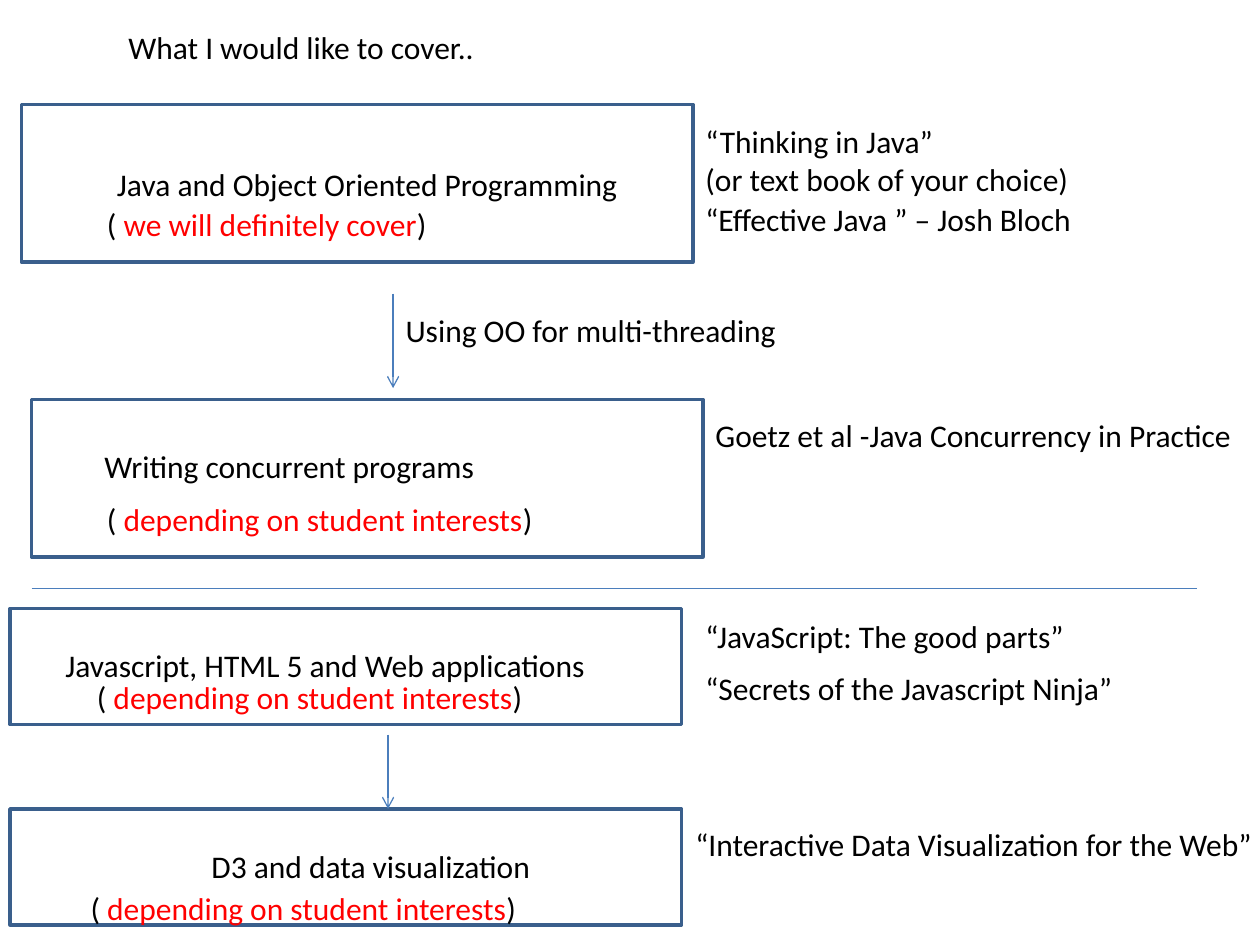
"""Build a slide of course topics, each with its reading list."""
from lxml.etree import SubElement
from pptx import Presentation
from pptx.dml.color import RGBColor
from pptx.enum.shapes import MSO_CONNECTOR, MSO_SHAPE
from pptx.enum.text import MSO_AUTO_SIZE
from pptx.oxml.ns import qn
from pptx.util import Inches, Pt

BLACK = RGBColor(0x00, 0x00, 0x00)
RED = RGBColor(0xFF, 0x00, 0x00)
EDGE = RGBColor(0x3A, 0x5F, 0x8C)
BLUE = RGBColor(0x4B, 0x7E, 0xBC)

FONT = {"name": "Calibri", "size": Pt(18)}
FRAME = {"word_wrap": False, "auto_size": MSO_AUTO_SIZE.SHAPE_TO_FIT_TEXT}
LINE = 0.4
WIDE = 5.33
COVER = "we will definitely cover"
MAYBE = "depending on student interests"

BOXES = [(0.17, 0.83, 1.25), (0.25, 3.17, 1.25), (0.08, 4.83, 0.92), (0.08, 6.42, 0.92)]
TEXTS = [
    (0.92, 0.17, 2.98, ["What I would like to cover.."]),
    (0.83, 1.26, 4.22, ["Java and Object Oriented Programming"]),
    (5.5, 0.92, 3.12, ["“Thinking in Java”", "(or text book of your choice)"]),
    (5.5, 1.54, 3.2, ["“Effective Java ” – Josh Bloch"]),
    (3.12, 2.42, 3.18, ["Using OO for multi-threading"]),
    (5.58, 3.25, 4.34, ["Goetz et al -Java Concurrency in Practice"]),
    (0.73, 3.5, 3.17, ["Writing concurrent programs"]),
    (0.42, 5.08, 4.38, ["Javascript, HTML 5 and Web applications"]),
    (5.5, 4.85, 3.08, ["“JavaScript: The good parts”"]),
    (5.5, 5.26, 3.46, ["“Secrets of the Javascript Ninja”"]),
    (1.58, 6.67, 2.76, ["D3 and data visualization"]),
    (5.42, 6.5, 4.67, ["“Interactive Data Visualization for the Web”"]),
]
NOTES = [
    (0.75, 1.58, 2.83, COVER),
    (0.75, 3.92, 3.68, MAYBE),
    (0.67, 5.33, 3.68, MAYBE),
    (0.62, 7.01, 3.68, MAYBE),
]


def style(item, values):
    """Set each named value on the item."""
    for name, value in values.items():
        setattr(item, name, value)


def add_box(slide, left, top, high):
    """Draw an outlined topic box."""
    box = slide.shapes.add_shape(
        MSO_SHAPE.RECTANGLE, Inches(left), Inches(top), Inches(WIDE), Inches(high))
    box.shadow.inherit = False
    box.fill.background()
    box.line.color.rgb = EDGE
    box.line.width = Pt(2)


def add_text(slide, left, top, width, rows):
    """Place rows of text, each row a list of (words, colour) runs."""
    high = LINE + 0.31 * (len(rows) - 1)
    box = slide.shapes.add_textbox(Inches(left), Inches(top), Inches(width), Inches(high))
    frame = box.text_frame
    style(frame, FRAME)
    for i, row in enumerate(rows):
        para = frame.add_paragraph() if i else frame.paragraphs[0]
        for words, color in row:
            run = para.add_run()
            run.text = words
            style(run.font, FONT)
            run.font.color.rgb = color


def add_note(slide, left, top, width, words):
    """Place a red remark in black brackets."""
    add_text(slide, left, top, width, [[("( ", BLACK), (words, RED), (")", BLACK)]])


def add_line(slide, start, end, arrow=False):
    """Draw a straight line, with an arrowhead at its end if asked."""
    line = slide.shapes.add_connector(
        MSO_CONNECTOR.STRAIGHT, *(Inches(n) for n in (*start, *end)))
    line.line.color.rgb = BLUE
    line.line.width = Pt(0.75)
    if arrow:
        SubElement(line.line._get_or_add_ln(), qn("a:tailEnd"), type="arrow")
    SubElement(line._element.spPr, qn("a:effectLst"))


def main():
    """Build and save the slide."""
    deck = Presentation()
    style(deck, {"slide_width": Inches(10), "slide_height": Inches(7.5)})
    slide = deck.slides.add_slide(deck.slide_layouts[6])
    for box in BOXES:
        add_box(slide, *box)
    add_line(slide, (3.12, 2.33), (3.12, 3.08), arrow=True)
    add_line(slide, (0.25, 4.67), (9.5, 4.67))
    add_line(slide, (3.08, 5.83), (3.08, 6.42), arrow=True)
    for left, top, width, rows in TEXTS:
        add_text(slide, left, top, width, [[(row, BLACK)] for row in rows])
    for note in NOTES:
        add_note(slide, *note)
    deck.save("out.pptx")


if __name__ == "__main__":
    main()
